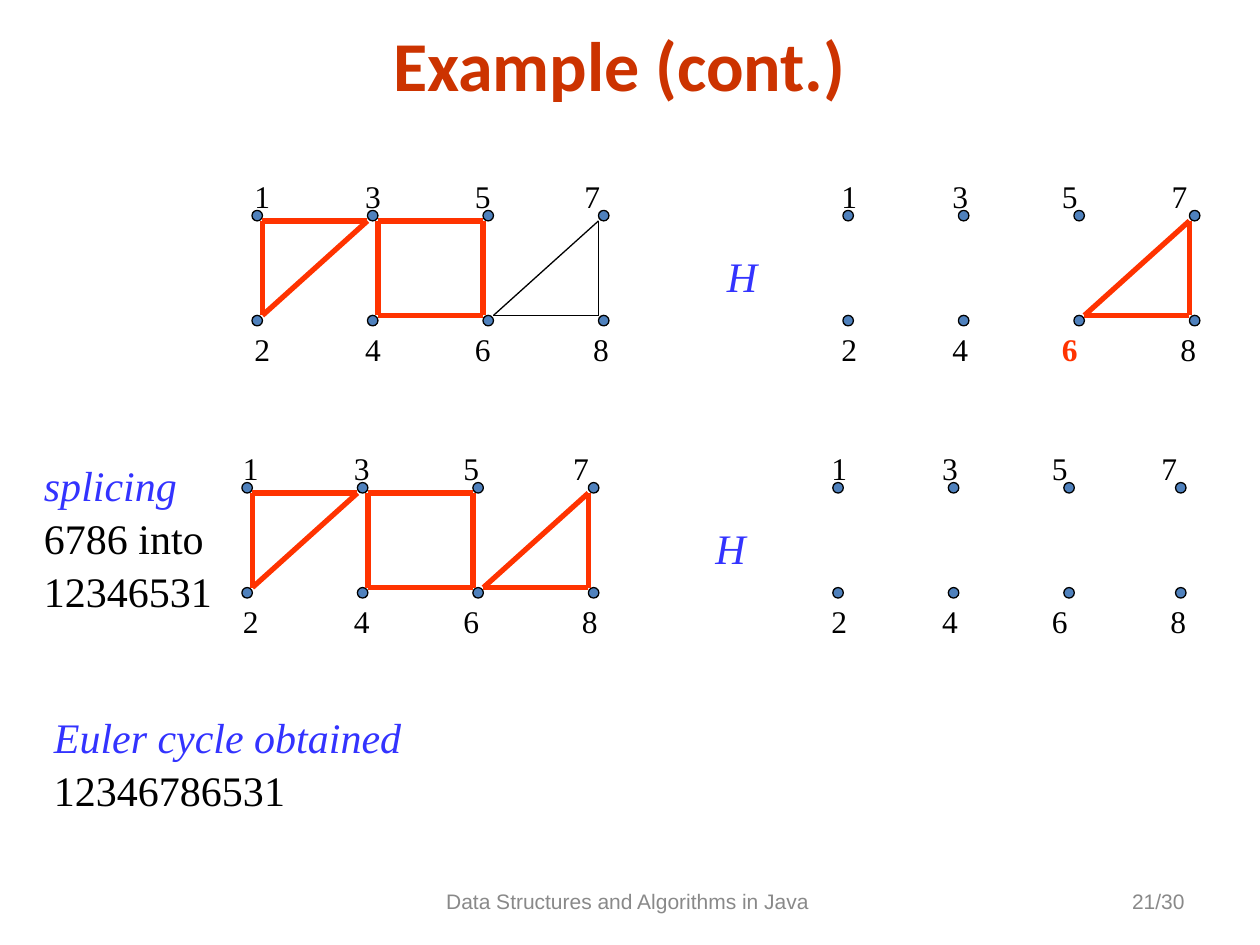
"""Build the slide that ends the Euler cycle example."""
import pptx
import pptx.util
import pptx.dml.color
import pptx.enum.shapes
import pptx.enum.text
import pptx.oxml
import pptx.oxml.ns
import lxml.etree

Inches = pptx.util.Inches
Pt = pptx.util.Pt
RGBColor = pptx.dml.color.RGBColor
ALIGN = pptx.enum.text.PP_ALIGN
ANCHOR = pptx.enum.text.MSO_ANCHOR
qn = pptx.oxml.ns.qn

BLACK = RGBColor(0x00, 0x00, 0x00)
RED = RGBColor(0xFF, 0x33, 0x00)
BLUE = RGBColor(0x33, 0x33, 0xFF)
DOT_BLUE = RGBColor(0x4F, 0x81, 0xBD)
TITLE_RED = RGBColor(0xCC, 0x33, 0x00)
GRAY = RGBColor(0x89, 0x89, 0x89)
SERIF = "Times New Roman"

deck = pptx.Presentation()
deck.slide_width = Inches(10)
deck.slide_height = Inches(7.5)
page = deck.slides.add_slide(deck.slide_layouts[6])


def add_span(para, text, size, color, font=SERIF, bold=False, italic=False):
    span = para.add_run()
    span.text = text
    span.font.name = font
    span.font.size = Pt(size)
    span.font.color.rgb = color
    span.font.bold = bold
    span.font.italic = italic


def add_box(left, top, width, height, anchor=ANCHOR.TOP):
    box = page.shapes.add_textbox(Inches(left), Inches(top), Inches(width), Inches(height))
    box.text_frame.word_wrap = True
    box.text_frame.vertical_anchor = anchor
    return box.text_frame


for place, text, size, color, font, bold, align in [
    ((3.17, 6.95, 3.67, 0.4), "Data Structures and Algorithms in Java ", 12, GRAY, "Arial", False, ALIGN.CENTER),
    ((7.17, 6.95, 2.33, 0.4), "21/30", 12, GRAY, "Arial", False, ALIGN.RIGHT),
    ((0, 0.12, 9.83, 0.77), "Example (cont.)", 40, TITLE_RED, "Calibri", True, ALIGN.CENTER),
]:
    para = add_box(*place, ANCHOR.MIDDLE).paragraphs[0]
    para.alignment = align
    add_span(para, text, size, color, font, bold)

DOT = 1 / 12
PITCH = 11 / 12
ROW_GAP = 10 / 12
SPAN = PITCH - DOT
RISE = ROW_GAP - DOT
CORNERS = {"A": (0, 0), "B": (SPAN, 0), "C": (0, RISE), "D": (SPAN, RISE)}
UPPER_TRIANGLE = ["AB", "AC", "BC"]
SQUARE = ["AB", "CD", "AC", "BD"]
LOWER_TRIANGLE = ["CD", "BD", "BC"]
THICK = (RED, 3)
THIN = (BLACK, 0.75)
CYCLE = [(0, UPPER_TRIANGLE, THICK), (1, SQUARE, THICK)]

graphs = [
    (2, 1.67, 4.75, 1.92, CYCLE + [(2, LOWER_TRIANGLE, THIN)], None),
    (6.69, 1.67, 9.44, 6.58, [(2, LOWER_TRIANGLE, THICK)], "6"),
    (1.92, 3.83, 4.67, 1.83, CYCLE + [(2, LOWER_TRIANGLE, THICK)], None),
    (6.61, 3.83, 9.33, 6.5, [], None),
]
for left, top, last_left, label_left, blocks, marked in graphs:
    for column_left in [left, left + PITCH, left + 2 * PITCH, last_left]:
        for dot_top in [top, top + ROW_GAP]:
            dot = page.shapes.add_shape(
                pptx.enum.shapes.MSO_SHAPE.OVAL,
                Inches(column_left), Inches(dot_top), Inches(DOT), Inches(DOT))
            dot.shadow.inherit = False
            dot.fill.solid()
            dot.fill.fore_color.rgb = DOT_BLUE
            dot.line.color.rgb = BLACK
            dot.line.width = Pt(0.75)

    for column, edges, (color, weight) in blocks:
        block_left = left + column * PITCH + DOT
        block_top = top + DOT
        for start, end in edges:
            x1, y1 = CORNERS[start]
            x2, y2 = CORNERS[end]
            edge = page.shapes.add_connector(
                pptx.enum.shapes.MSO_CONNECTOR.STRAIGHT,
                Inches(block_left + x1), Inches(block_top + y1),
                Inches(block_left + x2), Inches(block_top + y2))
            edge.line.color.rgb = color
            edge.line.width = Pt(weight)
            lxml.etree.SubElement(edge._element.spPr, qn("a:effectLst"))

    frame = add_box(label_left, top - 0.33, 3.17, 1.6)
    for para, labels, last_tab in [
        (frame.paragraphs[0], "1357", 2.62),
        (frame.add_paragraph(), "2468", 2.69),
    ]:
        para.line_spacing = 1.05
        if labels == "2468":
            para.space_before = Pt(65)
        tabs = lxml.etree.SubElement(para._p.get_or_add_pPr(), qn("a:tabLst"))
        for stop in [0.88, 1.75, last_tab]:
            lxml.etree.SubElement(tabs, qn("a:tab"), pos=str(Inches(stop)), algn="l")
        for index, label in enumerate(labels):
            if index:
                add_span(para, "\t", 18, BLACK)
            add_span(para, label, 18, RED if label == marked else BLACK, bold=label == marked)

for place, heading, lines in [
    ((5.67, 1.92, 0.44, 0.5), "H", []),
    ((5.58, 4.08, 0.44, 0.5), "H", []),
    ((0.25, 3.58, 1.58, 1.3), "splicing", ["6786 into", "12346531"]),
    ((0.33, 5.58, 3.33, 0.9), "Euler cycle obtained", ["12346786531"]),
]:
    frame = add_box(*place)
    add_span(frame.paragraphs[0], heading, 24, BLUE, italic=True)
    for line in lines:
        add_span(frame.add_paragraph(), line, 24, BLACK)
    for para in frame.paragraphs:
        para.line_spacing = 1.05

deck.save("out.pptx")
